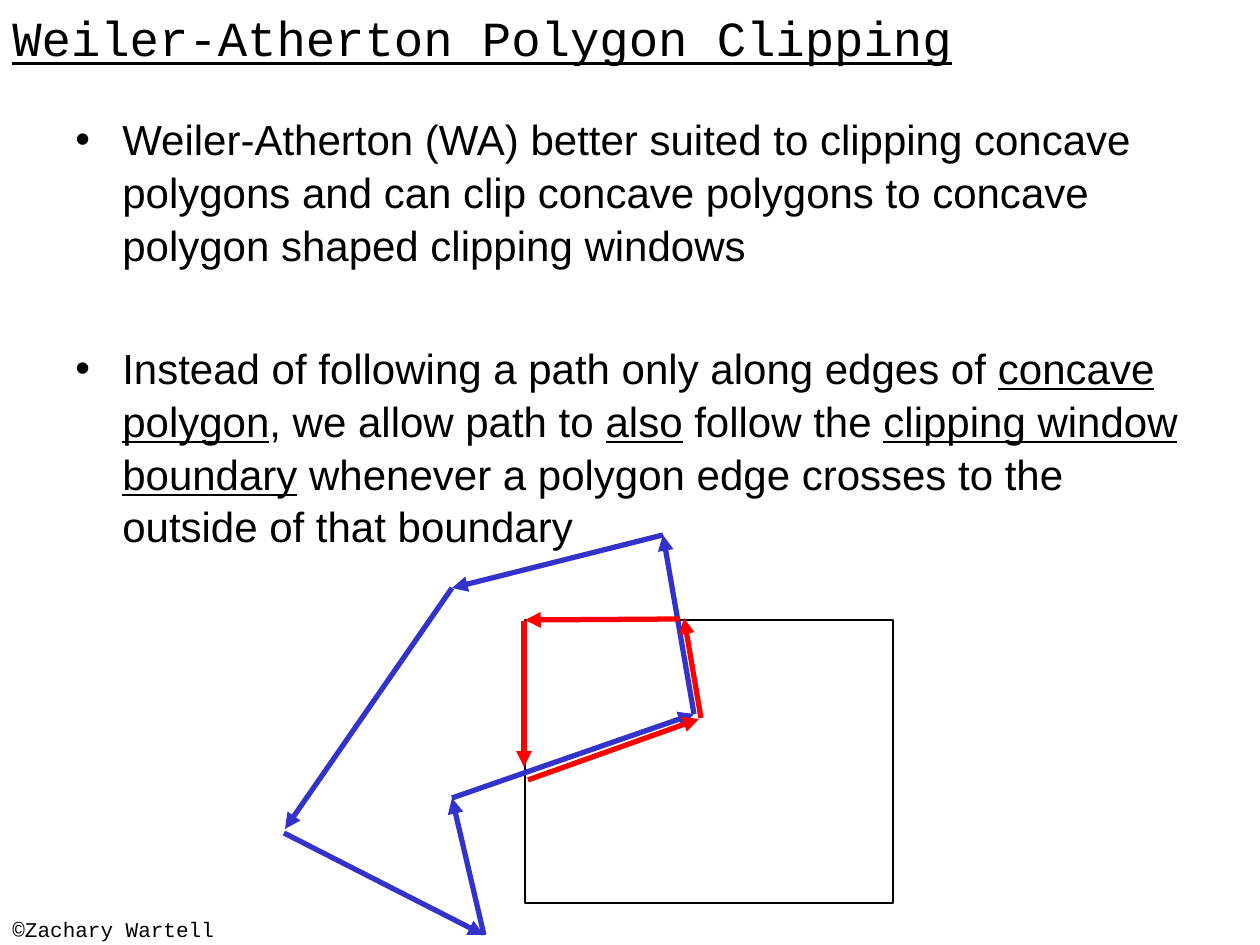
import pptx
import pptx.dml.color
import pptx.enum.shapes
import pptx.enum.text
import pptx.util
from lxml import etree
from pptx.oxml.ns import qn

EMU_PER_PX = 914400 / 126
BLACK, BLUE, RED = "000000", "3333CC", "FF0000"

# Corners of the concave polygon, in drawing order
POLYGON_EDGES = [
    ((452, 798), (694, 714)),
    ((694, 714), (663, 535)),
    ((663, 535), (452, 588)),
    ((452, 588), (285, 829)),
    ((284, 833), (484, 935)),
    ((484, 935), (452, 798)),
]
# Path kept by the clipping, drawn beside the edges it follows
CLIPPED_EDGES = [
    ((679, 619), (525, 620)),
    ((524, 621), (524, 767)),
    ((701, 718), (684, 618)),
    ((528, 780), (699, 719)),
]
# Each bullet is a list of (text, underlined) pieces
BULLETS = [
    [("Weiler-Atherton (WA) better suited to clipping concave polygons and can "
      "clip concave polygons to concave polygon shaped clipping windows", False)],
    [("Instead of following a path only along edges of ", False),
     ("concave polygon", True),
     (", we allow path to ", False),
     ("also", True),
     (" follow the ", False),
     ("clipping window boundary", True),
     (" whenever a polygon edge crosses to the outside of that boundary", False)],
]


def px(length):
    return pptx.util.Emu(round(length * EMU_PER_PX))


def color(hex_string):
    return pptx.dml.color.RGBColor.from_string(hex_string)


def style_font(font, name, size, underline=False):
    font.name = name
    font.size = pptx.util.Pt(size)
    font.underline = underline
    font.color.rgb = color(BLACK)


def add_text_frame(slide, left, top, width, height):
    text_frame = slide.shapes.add_textbox(
        px(left), px(top), px(width), px(height)).text_frame
    text_frame.word_wrap = True
    return text_frame


def add_label(slide, box, text, size, underline=False):
    text_frame = add_text_frame(slide, *box)
    text_frame.text = text
    text_frame.vertical_anchor = pptx.enum.text.MSO_ANCHOR.MIDDLE
    style_font(text_frame.paragraphs[0].runs[0].font, "Courier New", size, underline)


def add_bullet_mark(paragraph, indent):
    properties = paragraph._p.get_or_add_pPr()
    properties.set("marL", str(px(indent)))
    properties.set("indent", str(-px(indent)))
    bullet_font = etree.SubElement(properties, qn("a:buFont"))
    bullet_font.set("typeface", "Arial")
    etree.SubElement(properties, qn("a:buChar")).set("char", "•")


def add_bullets(slide, box, bullets):
    text_frame = add_text_frame(slide, *box)
    for index, pieces in enumerate(bullets):
        paragraph = text_frame.add_paragraph() if index else text_frame.paragraphs[0]
        add_bullet_mark(paragraph, 47)
        paragraph.line_spacing = 1.05
        if index:
            paragraph.space_before = pptx.util.Pt(40)
        for text, underline in pieces:
            run = paragraph.add_run()
            run.text = text
            style_font(run.font, "Arial", 24, underline)


def add_window(slide, left, top, width, height):
    shape = slide.shapes.add_shape(
        pptx.enum.shapes.MSO_SHAPE.RECTANGLE,
        px(left), px(top), px(width), px(height))
    shape.shadow.inherit = False
    shape.fill.background()
    shape.line.color.rgb = color(BLACK)
    shape.line.width = pptx.util.Pt(0.75)


def add_arrow(slide, start, end, line_color):
    connector = slide.shapes.add_connector(
        pptx.enum.shapes.MSO_CONNECTOR.STRAIGHT,
        *(px(value) for value in start + end))
    connector.line.color.rgb = color(line_color)
    connector.line.width = pptx.util.Pt(3)
    line = connector.line._get_or_add_ln()
    etree.SubElement(line, qn("a:tailEnd")).set("type", "triangle")
    etree.SubElement(connector._element.spPr, qn("a:effectLst"))


def main():
    presentation = pptx.Presentation()
    presentation.slide_width, presentation.slide_height = px(1260), px(945)
    slide = presentation.slides.add_slide(presentation.slide_layouts[6])

    # Footer, title and body text
    add_label(slide, (0, 914, 399, 31), "©Zachary Wartell", 12)
    add_label(slide, (0, 0, 1134, 73), "Weiler-Atherton Polygon Clipping", 28, True)
    add_bullets(slide, (63, 105, 1134, 624), BULLETS)

    # Clipping diagram
    add_window(slide, 525, 620, 368, 283)
    for edges, line_color in ((POLYGON_EDGES, BLUE), (CLIPPED_EDGES, RED)):
        for start, end in edges:
            add_arrow(slide, start, end, line_color)

    presentation.save("out.pptx")


if __name__ == "__main__":
    main()
